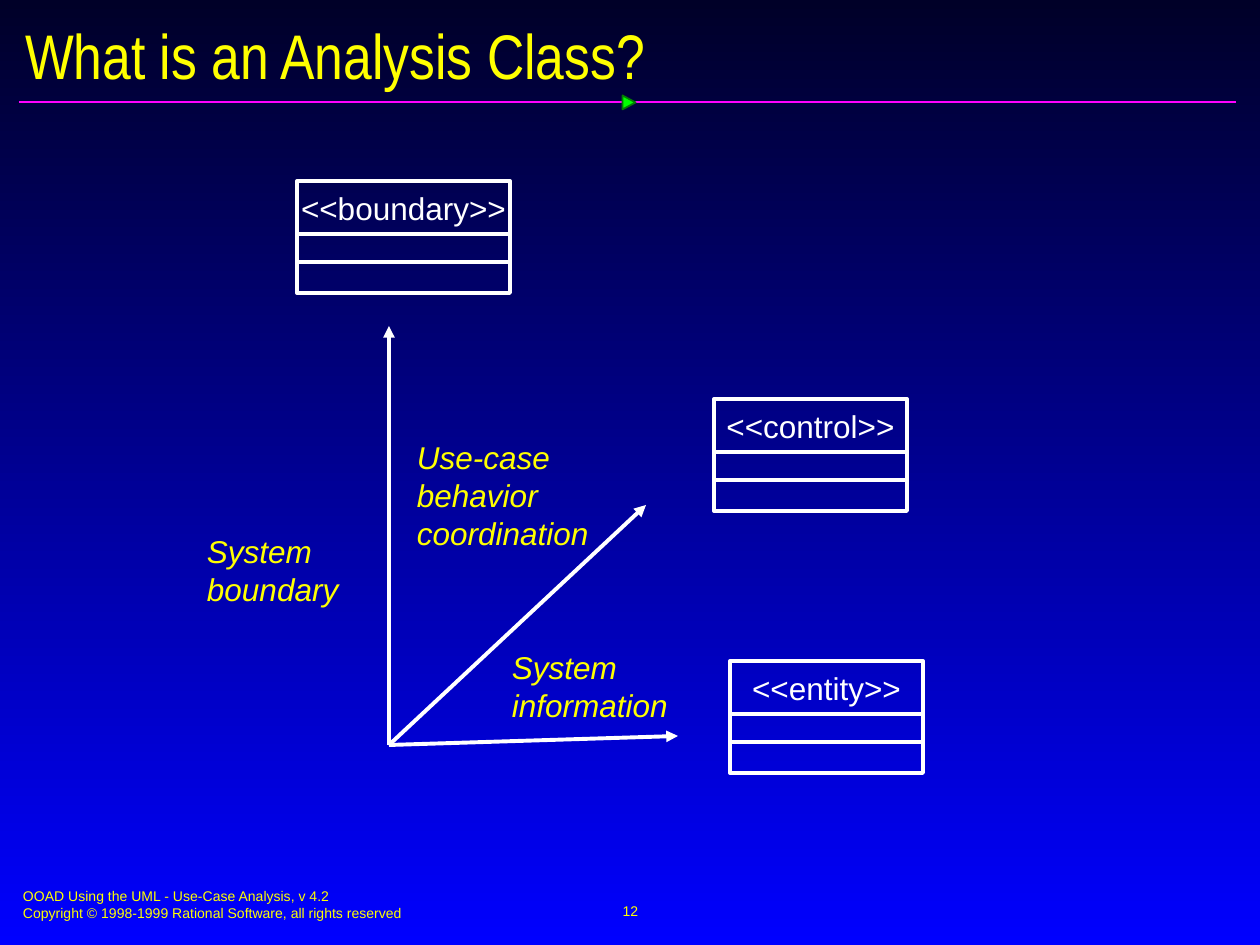
from dataclasses import dataclass

from lxml import etree
from pptx import Presentation
from pptx import util as u
from pptx.dml.color import RGBColor
from pptx.enum import shapes, text
from pptx.oxml.ns import qn

EMU_PER_PX = 914400 / 126


@dataclass(frozen=True)
class Theme:
    sky: str = "000028"
    deep: str = "0000FF"
    white: str = "FFFFFF"
    yellow: str = "FFFF00"
    magenta: str = "FF01FF"
    green: str = "00FF00"
    dark_green: str = "037C03"
    body_font: str = "Arial"
    title_font: str = "Arial Narrow"
    title_size: int = 36
    body_size: int = 18
    footer_size: int = 8
    diagram_line: float = 2.25
    rule_line: float = 1


THEME = Theme()


def px(*lengths):
    return [u.Emu(round(length * EMU_PER_PX)) for length in lengths]


def rgb(value):
    return RGBColor.from_string(value)


def paint_background(slide):
    fill = slide.background.fill
    fill.gradient()
    fill.gradient_angle = 270
    for stop, color, position in zip(fill.gradient_stops, (THEME.sky, THEME.deep), (0, 1)):
        stop.color.rgb = rgb(color)
        stop.position = position


def add_text(parent, box, content, size=THEME.body_size, color=THEME.yellow,
             font=THEME.body_font, italic=False, wrap=True, inset=(13, 6),
             align=text.PP_ALIGN.LEFT, anchor=text.MSO_ANCHOR.TOP):
    frame = parent.shapes.add_textbox(*px(*box)).text_frame
    frame.word_wrap = wrap
    frame.vertical_anchor = anchor
    frame.margin_left = frame.margin_right = px(inset[0])[0]
    frame.margin_top = frame.margin_bottom = px(inset[1])[0]
    frame.text = content
    for paragraph in frame.paragraphs:
        paragraph.alignment = align
        for run in paragraph.runs:
            run.font.size = u.Pt(size)
            run.font.name = font
            run.font.italic = italic
            run.font.color.rgb = rgb(color)


def add_line(parent, start, end, color=THEME.white, width=THEME.diagram_line, arrow=False):
    line = parent.shapes.add_connector(shapes.MSO_CONNECTOR.STRAIGHT, *px(*start, *end))
    line.line.color.rgb = rgb(color)
    line.line.width = u.Pt(width)
    if arrow:
        etree.SubElement(line.line._get_or_add_ln(), qn("a:tailEnd"), type="triangle")
    etree.SubElement(line._element.spPr, qn("a:effectLst"))


def add_shape(parent, kind, box, line_color, width, fill=None):
    shape = parent.shapes.add_shape(kind, *px(*box))
    shape.shadow.inherit = False
    if fill:
        shape.fill.solid()
        shape.fill.fore_color.rgb = rgb(fill)
    else:
        shape.fill.background()
    shape.line.color.rgb = rgb(line_color)
    shape.line.width = u.Pt(width)
    return shape


def add_class(slide, left, top, width, stereotype):
    """A UML class: name compartment above two empty ones."""
    group = slide.shapes.add_group_shape()
    add_shape(group, shapes.MSO_SHAPE.RECTANGLE, (left, top, width, 112),
              THEME.white, THEME.diagram_line)
    for offset in (53, 81):
        add_line(group, (left, top + offset), (left + width, top + offset))
    add_text(group, (left, top + 8, width, 38), f"<<{stereotype}>>", color=THEME.white,
             wrap=False, inset=(0, 0), align=text.PP_ALIGN.CENTER)


def add_header(slide):
    add_line(slide, (19, 102), (1236, 102), THEME.magenta, THEME.rule_line)
    marker = add_shape(slide, shapes.MSO_SHAPE.ISOSCELES_TRIANGLE, (622, 96, 14, 13),
                       THEME.dark_green, THEME.rule_line, THEME.green)
    marker.rotation = 90
    add_text(slide, (12, 18, 1240, 73), "What is an Analysis Class?", THEME.title_size,
             font=THEME.title_font, anchor=text.MSO_ANCHOR.MIDDLE)


def add_footer(slide):
    add_text(slide, (10, 882, 643, 47),
             "OOAD Using the UML - Use-Case Analysis, v 4.2\n"
             "Copyright © 1998-1999 Rational Software, all rights reserved",
             THEME.footer_size)
    add_text(slide, (431, 879, 399, 63), "12", THEME.footer_size, wrap=False,
             align=text.PP_ALIGN.CENTER, anchor=text.MSO_ANCHOR.MIDDLE)


def main():
    presentation = Presentation()
    presentation.slide_width, presentation.slide_height = px(1260, 945)
    slide = presentation.slides.add_slide(presentation.slide_layouts[6])

    # Frame of the slide
    paint_background(slide)
    add_header(slide)
    add_footer(slide)

    # Three axes from a common origin
    for tip in ((389, 326), (678, 736), (646, 505)):
        add_line(slide, (389, 745), tip, arrow=True)

    # Analysis class stereotypes
    add_class(slide, 714, 399, 193, "control")
    add_class(slide, 297, 181, 213, "boundary")
    add_class(slide, 730, 661, 193, "entity")

    # Axis labels
    for box, label in (
        ((194, 526, 179, 88), "System boundary"),
        ((404, 432, 199, 126), "Use-case behavior coordination"),
        ((499, 642, 210, 88), "System information"),
    ):
        add_text(slide, box, label, italic=True)

    presentation.save("out.pptx")


if __name__ == "__main__":
    main()
